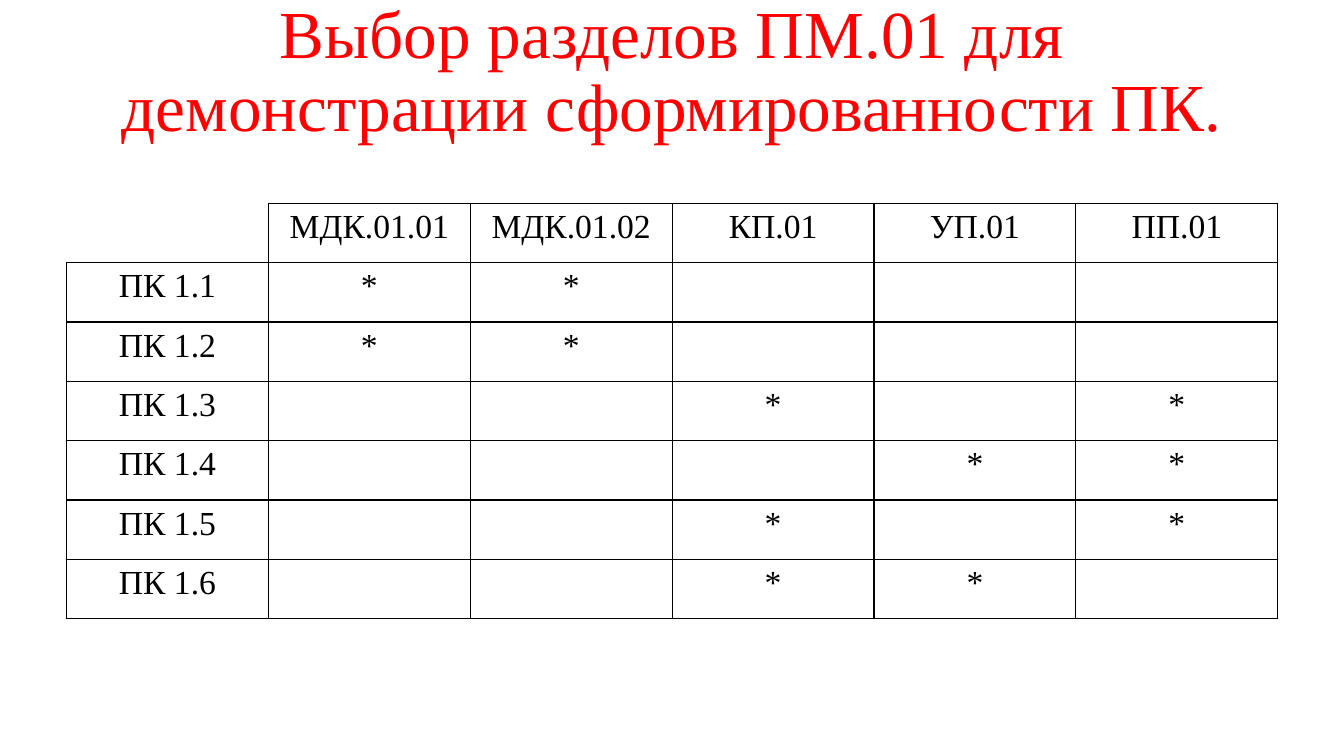
"""Builds the slide that maps competences to sections of the module."""
from lxml.etree import SubElement
from pptx import Presentation
from pptx.dml.color import RGBColor
from pptx.enum.text import MSO_ANCHOR, PP_ALIGN
from pptx.oxml.ns import qn
from pptx.util import Pt

SECTIONS = ["МДК.01.01", "МДК.01.02", "КП.01", "УП.01", "ПП.01"]
MARKED = {
    "ПК 1.1": ["МДК.01.01", "МДК.01.02"],
    "ПК 1.2": ["МДК.01.01", "МДК.01.02"],
    "ПК 1.3": ["КП.01", "ПП.01"],
    "ПК 1.4": ["УП.01", "ПП.01"],
    "ПК 1.5": ["КП.01", "ПП.01"],
    "ПК 1.6": ["КП.01", "УП.01"],
}


def color(value):
    return RGBColor.from_string(value)


class SlideBuilder:
    font = "Times New Roman"
    title_color = "FF0000"
    ink = "000000"

    def __init__(self, prs):
        self.s = prs.slides.add_slide(prs.slide_layouts[6])

    def set_text(self, p, text, size, fill):
        p.text = text
        p.alignment = PP_ALIGN.CENTER
        p.font.name = self.font
        p.font.size = Pt(size)
        p.font.color.rgb = color(fill)

    def title(self, text, left, top, width, height):
        tf = self.s.shapes.add_textbox(Pt(left), Pt(top), Pt(width), Pt(height)).text_frame
        tf.word_wrap = True
        tf.vertical_anchor = MSO_ANCHOR.MIDDLE
        p = tf.paragraphs[0]
        p.line_spacing = 0.9
        self.set_text(p, text, 48, self.title_color)

    def borders(self, cell, hidden=""):
        tcPr = cell._tc.get_or_add_tcPr()
        for side in "LRTB":
            ln = SubElement(tcPr, qn(f"a:ln{side}"), w=str(Pt(1)))
            if side in hidden:
                SubElement(ln, qn("a:noFill"))
            else:
                fill = SubElement(ln, qn("a:solidFill"))
                SubElement(fill, qn("a:srgbClr"), val=self.ink)

    def table(self, rows, left, top, col_width, row_height):
        n_rows, n_cols = len(rows), len(rows[0])
        table = self.s.shapes.add_table(
            n_rows, n_cols, Pt(left), Pt(top),
            Pt(col_width * n_cols), Pt(row_height * n_rows)).table
        table.first_row = table.horz_banding = False
        for i, row in enumerate(rows):
            for j, text in enumerate(row):
                cell = table.cell(i, j)
                self.borders(cell, "LT" if i == j == 0 else "")
                cell.fill.background()
                self.set_text(cell.text_frame.paragraphs[0], text, 24, self.ink)


def main():
    prs = Presentation()
    prs.slide_width, prs.slide_height = Pt(960), Pt(540)
    slide = SlideBuilder(prs)
    slide.title("Выбор разделов ПМ.01 для демонстрации сформированности ПК.",
                66, 0, 828, 104.4)
    rows = [[""] + SECTIONS]
    for name, marked in MARKED.items():
        rows.append([name] + ["*" if section in marked else "" for section in SECTIONS])
    slide.table(rows, 47.5, 145.3, 144.2, 42.4)
    prs.save("out.pptx")


if __name__ == "__main__":
    main()
